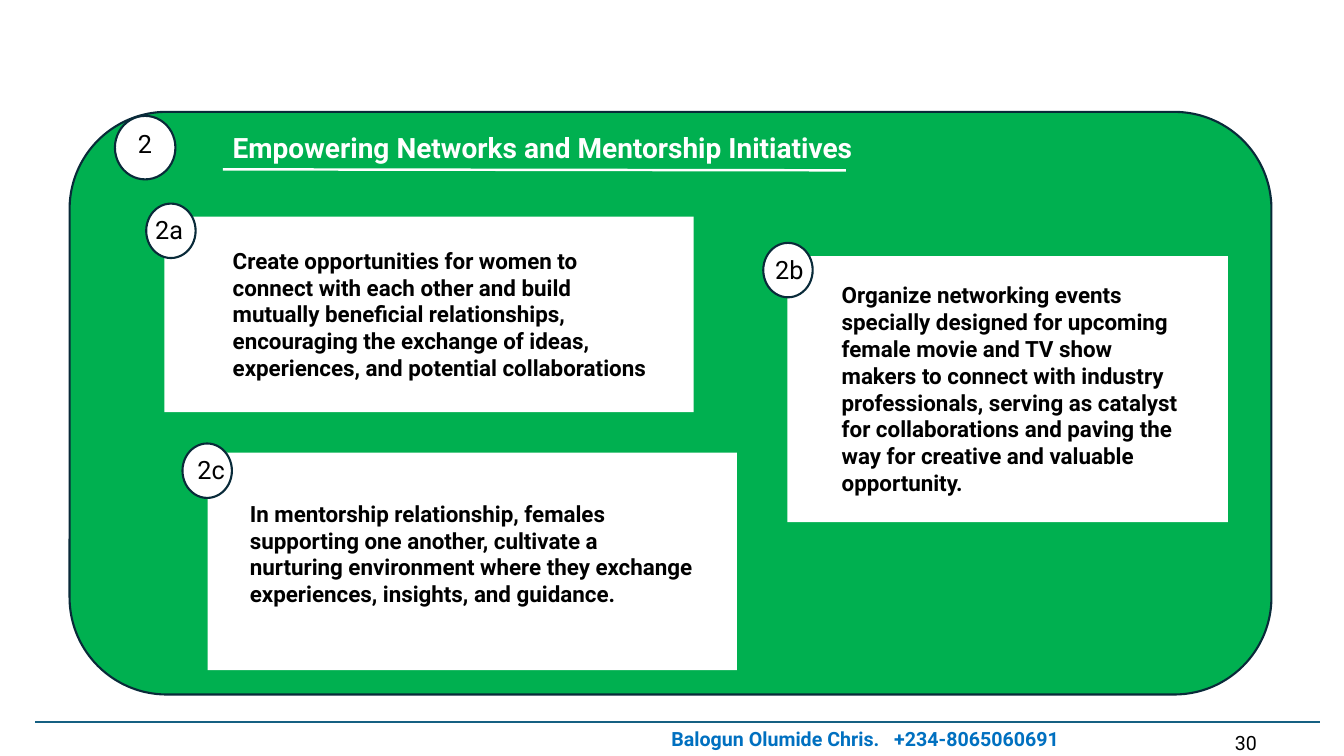
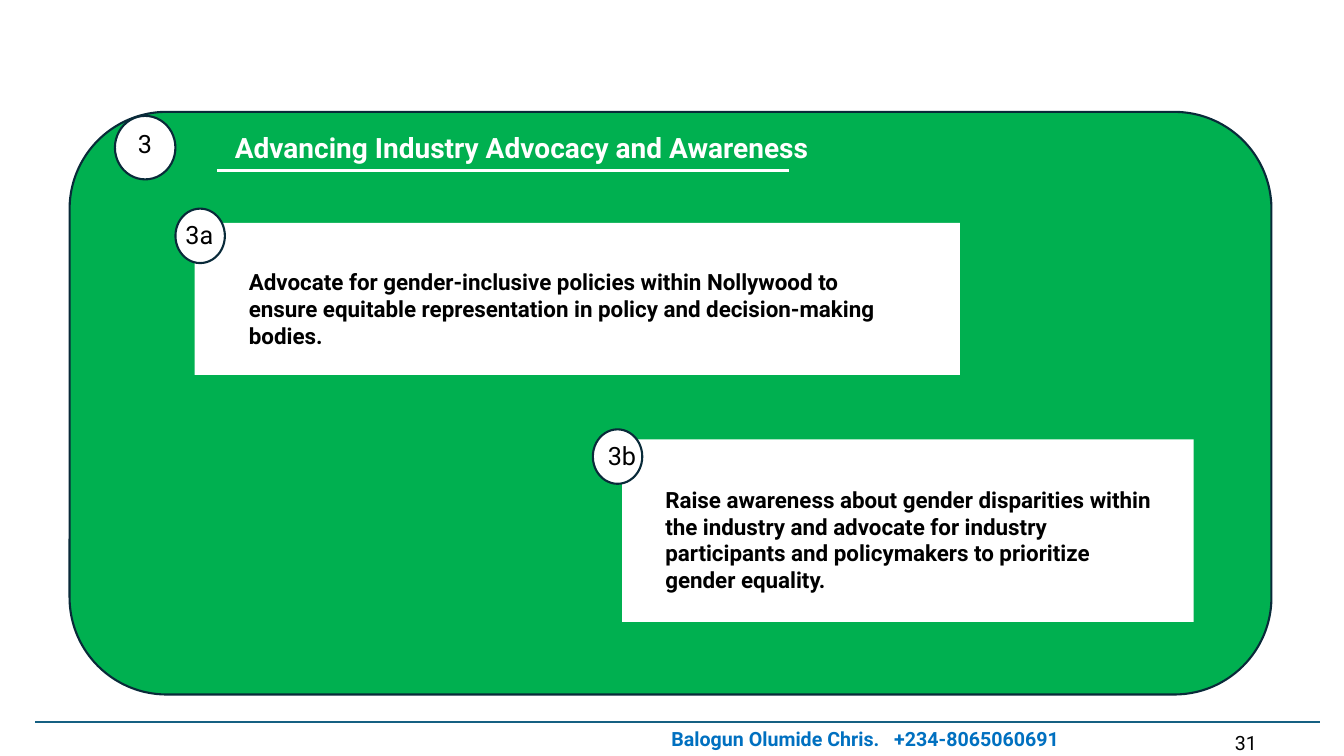
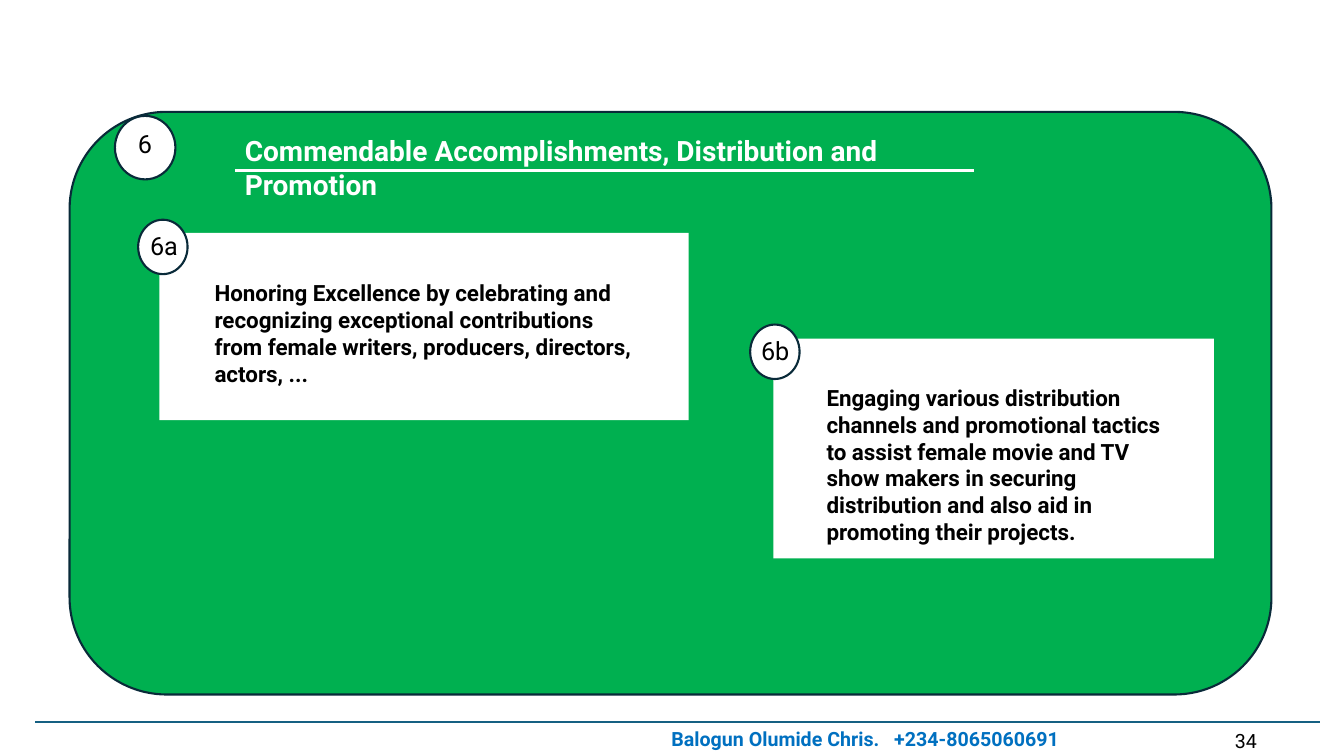
from pptx import Presentation
from pptx import util as u
from pptx.dml import color
from pptx.enum import shapes, text
from pptx.oxml import ns
from lxml import etree

GREEN = color.RGBColor(0x00, 0xB0, 0x50)
WHITE = color.RGBColor(0xFF, 0xFF, 0xFF)
BLACK = color.RGBColor(0x00, 0x00, 0x00)
NAVY = color.RGBColor(0x09, 0x2A, 0x39)
TEAL = color.RGBColor(0x15, 0x60, 0x82)
BLUE = color.RGBColor(0x00, 0x70, 0xC0)

KIND = shapes.MSO_SHAPE
STYLES = {
    "title": ({"size": u.Pt(20), "bold": True}, WHITE),
    "body": ({"size": u.Pt(16), "bold": True}, BLACK),
    "label": ({"size": u.Pt(18), "bold": False}, BLACK),
    "owner": ({"size": u.Pt(14), "bold": True}, BLUE),
    "page": ({"size": u.Pt(14), "bold": False}, BLACK),
}
FRAME = {"word_wrap": True, "auto_size": text.MSO_AUTO_SIZE.SHAPE_TO_FIT_TEXT}

TOPICS = [
    {
        "num": "2", "page": "30", "foot": 7.2,
        "title": "Empowering Networks and Mentorship Initiatives",
        "head": (2.21, 1.25, 6.47, 0.44), "rule": (2.21, 1.68, 8.39, 1.69),
        "cards": [
            ("2a", (1.63, 2.15, 5.25, 1.94), (1.45, 2.02), -0.01, (2.21, 2.4, 4.37, 1.45),
             "Create opportunities for women to connect with each other and build "
             "mutually beneficial relationships, encouraging the exchange of ideas, "
             "experiences, and potential collaborations"),
            ("2c", (2.06, 4.49, 5.25, 2.16), (1.81, 4.4), 0.05, (2.38, 4.91, 4.59, 1.18),
             "In mentorship relationship, females supporting one another, cultivate a "
             "nurturing environment where they exchange experiences, insights, and guidance."),
            ("2b", (7.81, 2.54, 4.37, 2.64), (7.57, 2.41), 0.02, (8.25, 2.74, 3.67, 1.99),
             "Organize networking events specially designed for upcoming female movie and "
             "TV show makers to connect with industry professionals, serving as catalyst "
             "for collaborations and paving the way for creative and valuable opportunity."),
        ],
    },
    {
        "num": "3", "page": "31", "foot": 7.2,
        "title": "Advancing Industry Advocacy and Awareness",
        "head": (2.23, 1.25, 6.02, 0.44), "rule": (2.15, 1.69, 7.83, 1.69),
        "cards": [
            ("3a", (1.93, 2.21, 7.59, 1.51), (1.74, 2.07), 0, (2.37, 2.61, 6.64, 0.64),
             "Advocate for gender-inclusive policies within Nollywood to ensure equitable "
             "representation in policy and decision-making bodies."),
            ("3b", (6.17, 4.36, 5.67, 1.81), (5.88, 4.26), 0.05, (6.5, 4.77, 5.12, 0.91),
             "Raise awareness about gender disparities within the industry and advocate for "
             "industry participants and policymakers to prioritize gender equality."),
        ],
    },
    {
        "num": "6", "page": "34", "foot": 7.18,
        "title": "Commendable Accomplishments, Distribution and Promotion",
        "head": (2.33, 1.28, 7.73, 0.44), "rule": (2.33, 1.69, 9.66, 1.69),
        "cards": [
            ("6a", (1.58, 2.31, 5.25, 1.86), (1.37, 2.18), 0.02, (2.03, 2.72, 4.37, 1.18),
             "Honoring Excellence by celebrating and recognizing exceptional contributions "
             "from female writers, producers, directors, actors, ..."),
            ("6b", (7.67, 3.36, 4.37, 2.18), (7.44, 3.22), 0.01, (8.1, 3.76, 3.67, 1.45),
             "Engaging various distribution channels and promotional tactics to assist "
             "female movie and TV show makers in securing distribution and also aid in "
             "promoting their projects."),
        ],
    },
]


def assign(obj, vals):
    """Set each attribute named in a dict."""
    for key, val in vals.items():
        setattr(obj, key, val)


def add_form(slide, kind, box, fill, edge=None):
    """Draw a filled preset shape, outlined when an edge colour is given."""
    form = slide.shapes.add_shape(kind, *map(u.Inches, box))
    form.shadow.inherit = False
    form.fill.solid()
    form.fill.fore_color.rgb = fill
    if edge is None:
        form.line.fill.background()
    else:
        form.line.color.rgb = edge
        form.line.width = u.Pt(1.5)


def add_text(slide, box, words, style):
    """Write one paragraph in a named style and return it."""
    frame = slide.shapes.add_textbox(*map(u.Inches, box)).text_frame
    assign(frame, FRAME)
    para = frame.paragraphs[0]
    run = para.add_run()
    run.text = words
    vals, ink = STYLES[style]
    assign(run.font, {"name": "Roboto", **vals})
    run.font.color.rgb = ink
    return para


def add_rule(slide, ends, ink, width):
    """Draw a straight line without a shadow."""
    rule = slide.shapes.add_connector(shapes.MSO_CONNECTOR.STRAIGHT, *map(u.Inches, ends))
    rule.line.color.rgb = ink
    rule.line.width = u.Pt(width)
    etree.SubElement(rule.element.spPr, ns.qn("a:effectLst"))


def add_tab(para, pos):
    """Give a paragraph one left tab stop."""
    tabs = etree.SubElement(para._p.get_or_add_pPr(), ns.qn("a:tabLst"))
    etree.SubElement(tabs, ns.qn("a:tab"), pos=str(u.Inches(pos)), algn="l")


def add_base(slide, topic):
    """Draw the panel, topic number and footer."""
    add_form(slide, KIND.ROUNDED_RECTANGLE, (0.69, 1.11, 11.92, 5.78), GREEN, NAVY)
    add_rule(slide, (0.35, 7.16, 13.09, 7.16), TEAL, 1.5)
    owner = add_text(slide, (6.56, 7.16, 4.08, 0.34),
                     "Balogun Olumide Chris.\t+234-8065060691", "owner")
    add_tab(owner, 2.21)
    add_form(slide, KIND.OVAL, (1.14, 1.15, 0.6, 0.63), WHITE, NAVY)
    add_text(slide, (1.27, 1.22, 0.33, 0.4), topic["num"], "label")
    add_text(slide, (12.15, topic["foot"], 0.47, 0.34), topic["page"], "page")


def add_card(slide, label, box, dot, shift, area, words):
    """Draw a white card with its lettered dot and text."""
    left, top = dot
    add_form(slide, KIND.RECTANGLE, box, WHITE)
    add_form(slide, KIND.OVAL, (left, top, 0.49, 0.54), WHITE, NAVY)
    add_text(slide, (left + shift, top + 0.06, 0.58, 0.4), label, "label")
    add_text(slide, area, words, "body")


def main():
    """Build and save the slides."""
    deck = Presentation()
    assign(deck, {"slide_width": u.Inches(13.33), "slide_height": u.Inches(7.5)})
    for topic in TOPICS:
        slide = deck.slides.add_slide(deck.slide_layouts[6])
        add_base(slide, topic)
        for card in topic["cards"]:
            add_card(slide, *card)
        add_text(slide, topic["head"], topic["title"], "title")
        add_rule(slide, topic["rule"], WHITE, 1.75)
    deck.save("out.pptx")


if __name__ == "__main__":
    main()
